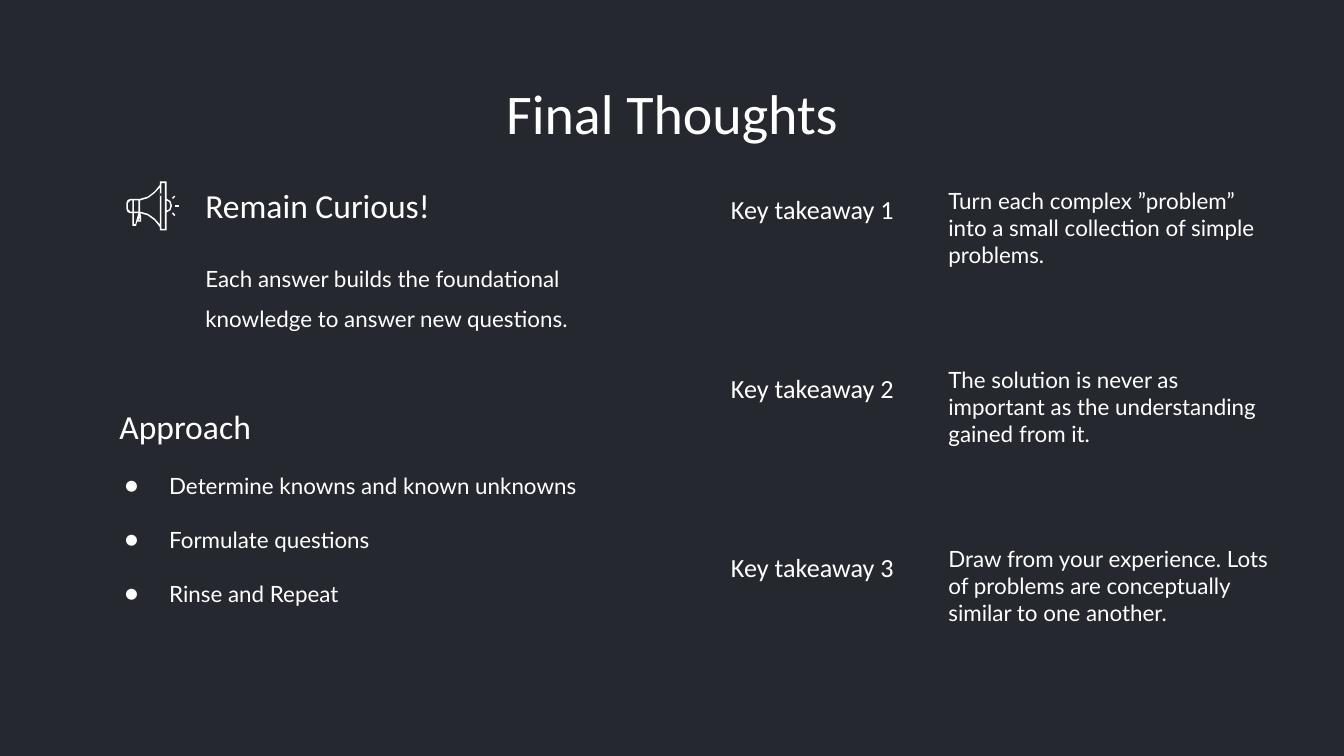
"""Build the closing slide with its takeaways, approach and megaphone icon."""
from typing import NamedTuple

from lxml import etree
from pptx import Presentation
from pptx.dml.color import RGBColor
from pptx.enum import text
from pptx.oxml.ns import qn
from pptx.slide import Slide
from pptx.util import Emu, Inches, Pt

BACKDROP = RGBColor(0x25, 0x28, 0x2F)
WHITE = RGBColor(0xFF, 0xFF, 0xFF)
HEADING_FONT, BODY_FONT = "Calibri", "Lato"
COLUMNS, ROWS = 100, 56.25
CELL = Inches(10) / COLUMNS
INSET = Inches(0.1)
MARGIN, INDENTED, LABELS, DETAILS = 7.9, 14.3, 53.4, 69.58
FIRST_TAKEAWAY, TAKEAWAY_STEP = 12.95, 13.3

Point = tuple[float, float]
Contour = tuple[Point, ...]


class Area(NamedTuple):
    """A rectangle in grid columns and rows."""
    column: float
    row: float
    columns: float
    rows: float


class Takeaway(NamedTuple):
    """A numbered lesson."""
    label: str
    detail: str


TAKEAWAYS = (
    Takeaway("Key takeaway 1", "Turn each complex ”problem” into a small collection of simple problems."),
    Takeaway("Key takeaway 2", "The solution is never as important as the understanding gained from it."),
    Takeaway("Key takeaway 3", "Draw from your experience. Lots of problems are conceptually similar to one another."),
)
APPROACH = ("Determine knowns and known unknowns", "Formulate questions", "Rinse and Repeat")

SILHOUETTE: Contour = (
    (11.9, 13.5), (12.4, 13.5), (12.4, 14.8), (12.68, 14.95), (12.8, 15.3), (12.68, 15.65),
    (12.4, 15.8), (12.4, 17.15), (11.9, 17.15), (11.9, 16.9), (11.5, 16.4), (11, 16.03),
    (10.45, 15.87), (10.5, 16.1), (10.5, 16.5), (10.2, 16.5), (10.13, 16.8), (9.85, 16.8),
    (9.85, 15.87), (9.7, 15.87), (9.5, 15.78), (9.4, 15.55), (9.4, 15.1), (9.5, 14.88),
    (9.7, 14.8), (10.4, 14.8), (11, 14.63), (11.5, 14.25), (11.9, 13.75),
)
HOLES: tuple[Contour, ...] = (
    ((12.4, 14.92), (12.6, 15.03), (12.68, 15.3), (12.6, 15.57), (12.4, 15.68)),
    ((9.85, 14.92), (9.85, 15.75), (9.7, 15.75), (9.52, 15.55), (9.52, 15.1), (9.7, 14.92)),
    ((10.3, 14.92), (10.3, 15.75), (9.97, 15.75), (9.97, 14.92)),
    ((10.4, 16.15), (10.4, 16.4), (10.3, 16.4)),
    ((10.3, 15.87), (10.07, 16.68), (9.97, 16.68), (9.97, 15.87)),
    ((12.02, 13.62), (12.28, 13.62), (12.28, 17.03), (12.02, 17.03)),
    ((11.9, 14.4), (12.02, 14.4), (12.02, 14.58), (11.9, 14.58)),
    ((10.42, 14.92), (11, 14.75), (11.5, 14.38), (11.9, 13.95), (11.9, 16.7),
     (11.5, 16.25), (11, 15.9), (10.42, 15.75)),
)
RAYS: tuple[Contour, ...] = (
    ((13.0, 15.25), (13.3, 15.25), (13.3, 15.37), (13.0, 15.37)),
    ((12.8, 14.72), (12.97, 14.55), (13.05, 14.63), (12.88, 14.8)),
    ((12.8, 15.88), (12.88, 15.8), (13.05, 16.0), (12.97, 16.08)),
)


def cells(count: float) -> Emu:
    """Turn a number of grid cells into a length."""
    return Emu(round(count * CELL))


def add_bullet(paragraph) -> None:
    """Give a paragraph a round white bullet with a hanging indent."""
    properties = paragraph._p.get_or_add_pPr()
    properties.set("marL", str(Inches(0.37)))
    properties.set("indent", str(-Inches(0.33)))
    colour = etree.SubElement(properties, qn("a:buClr"))
    etree.SubElement(colour, qn("a:srgbClr")).set("val", str(WHITE))
    etree.SubElement(properties, qn("a:buSzPts")).set("val", "1200")
    etree.SubElement(properties, qn("a:buFont")).set("typeface", BODY_FONT)
    etree.SubElement(properties, qn("a:buChar")).set("char", "●")


def write(slide: Slide, area: Area, *lines: str, size: float = 12, font: str = BODY_FONT,
          anchor=text.MSO_ANCHOR.TOP, align=text.PP_ALIGN.LEFT, spacing: float = 1.0,
          gap: float = 0, bullets: bool = False) -> None:
    """Write one paragraph per line inside an area."""
    frame = slide.shapes.add_textbox(*map(cells, area)).text_frame
    frame.word_wrap = True
    frame.vertical_anchor = anchor
    frame.margin_left = frame.margin_right = frame.margin_top = frame.margin_bottom = INSET
    for index, line in enumerate(lines):
        paragraph = frame.add_paragraph() if index else frame.paragraphs[0]
        paragraph.alignment = align
        paragraph.line_spacing = spacing
        if index:
            paragraph.space_before = Pt(gap)
        if bullets:
            add_bullet(paragraph)
        run = paragraph.add_run()
        run.text = line
        run.font.size, run.font.name = Pt(size), font
        run.font.color.rgb = WHITE


def write_heading(slide: Slide, area: Area, heading: str, size: float = 18) -> None:
    """Write a heading resting on the bottom of its area."""
    write(slide, area, heading, size=size, font=HEADING_FONT, anchor=text.MSO_ANCHOR.BOTTOM)


def draw_megaphone(slide: Slide) -> None:
    """Draw the hollow megaphone and its rays as one group."""
    icon = slide.shapes.add_group_shape()
    for contours in ((RAYS[0],), (SILHOUETTE, *HOLES), (RAYS[1],), (RAYS[2],)):
        outlines = [[(cells(x), cells(y)) for x, y in contour] for contour in contours]
        builder = icon.shapes.build_freeform(*outlines[0][0])
        for index, (start, *rest) in enumerate(outlines):
            if index:
                builder.move_to(*start)
            builder.add_line_segments(rest, close=True)
        part = builder.convert_to_shape()
        part.shadow.inherit = False
        part.fill.solid()
        part.fill.fore_color.rgb = WHITE
        part.line.fill.background()


def main() -> None:
    """Build and save the slide."""
    deck = Presentation()
    deck.slide_width, deck.slide_height = cells(COLUMNS), cells(ROWS)
    slide = deck.slides.add_slide(deck.slide_layouts[6])
    slide.background.fill.solid()
    slide.background.fill.fore_color.rgb = BACKDROP

    write(slide, Area(MARGIN, 4.85, 84.2, 6.3), "Final Thoughts", size=30,
          font=HEADING_FONT, align=text.PP_ALIGN.CENTER)
    write_heading(slide, Area(INDENTED, 12.95, 35.7, 4.8), "Remain Curious!")
    write(slide, Area(INDENTED, 17.7, 35.7, 10.4),
          "Each answer builds the foundational knowledge to answer new questions.", spacing=1.5)
    write_heading(slide, Area(MARGIN, 30, 42.1, 4.2), "Approach")
    write(slide, Area(MARGIN, 34.1, 42.1, 16.3), *APPROACH, gap=14.6, bullets=True)
    draw_megaphone(slide)

    for index, takeaway in enumerate(TAKEAWAYS):
        row = FIRST_TAKEAWAY + index * TAKEAWAY_STEP
        write_heading(slide, Area(LABELS, row, 16.2, 4.8), takeaway.label, size=14)
        write(slide, Area(DETAILS, row, 25.9, 7.5), takeaway.detail)

    deck.save("out.pptx")


if __name__ == "__main__":
    main()
